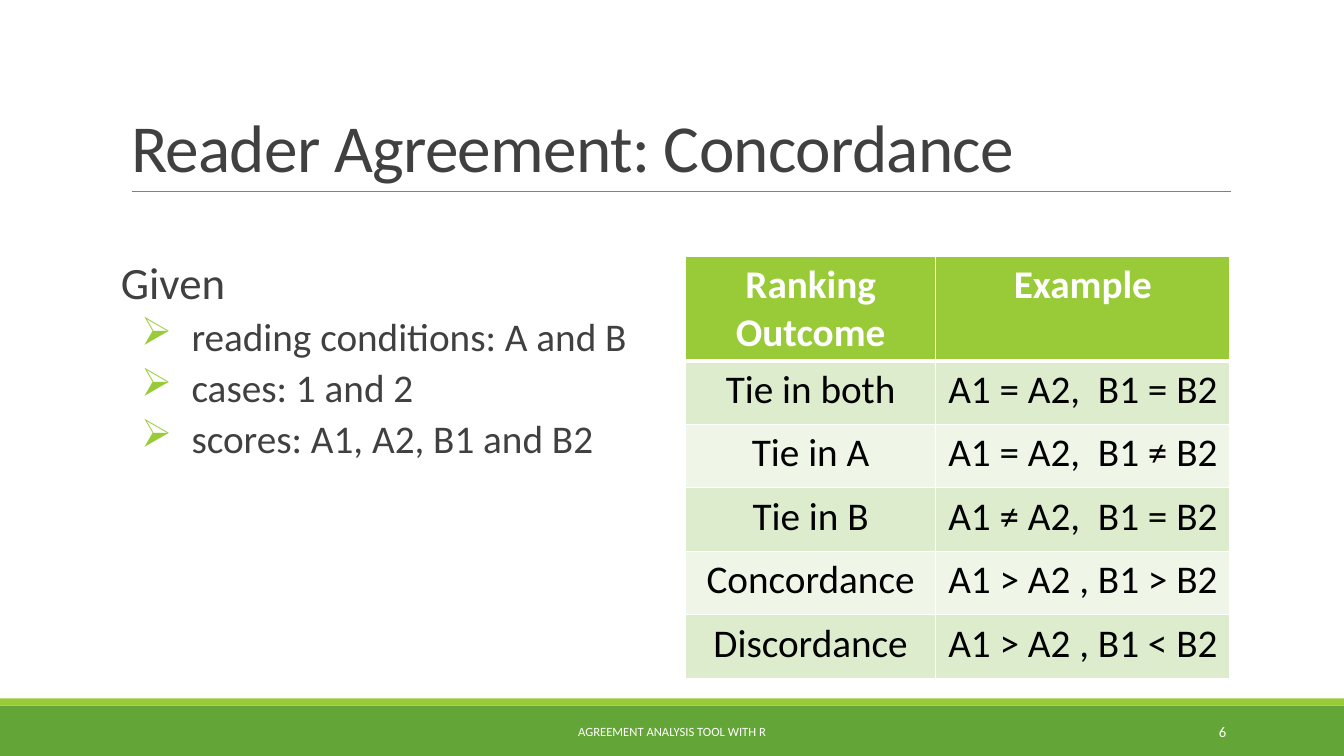
"""Build the reader agreement slide with its concordance table."""
from dataclasses import dataclass

from lxml import etree
from pptx import Presentation
from pptx.dml.color import RGBColor
from pptx.enum.shapes import MSO_CONNECTOR, MSO_SHAPE
from pptx.enum.text import MSO_ANCHOR, MSO_AUTO_SIZE, PP_ALIGN
from pptx.oxml.ns import qn
from pptx.util import Inches, Pt

RECT = MSO_SHAPE.RECTANGLE
STRAIGHT = MSO_CONNECTOR.STRAIGHT
LEFT, CENTER, RIGHT = PP_ALIGN.LEFT, PP_ALIGN.CENTER, PP_ALIGN.RIGHT
TOP, MIDDLE, BOTTOM = MSO_ANCHOR.TOP, MSO_ANCHOR.MIDDLE, MSO_ANCHOR.BOTTOM


@dataclass(frozen=True)
class Theme:
    font: str = "Calibri"
    text: str = "404040"
    black: str = "000000"
    white: str = "FFFFFF"
    rule: str = "808080"
    green: str = "63A537"
    lime: str = "99CB38"
    bands: tuple = ("DEECCE", "EFF6E8")
    title: float = 48
    lead: float = 32
    body: float = 28
    footer: float = 9
    number: float = 10.5


T = Theme()


def write(p, text, size, color=T.text, bold=False, align=LEFT, line=None, before=0, after=0):
    """Fill a paragraph with one formatted run and return the run."""
    p.alignment = align
    p.line_spacing = line
    p.space_before, p.space_after = Pt(before), Pt(after)
    r = p.add_run()
    r.text = text
    r.font.name, r.font.size, r.font.bold = T.font, Pt(size), bold
    r.font.color.rgb = RGBColor.from_string(color)
    return r


prs = Presentation()
prs.slide_width, prs.slide_height = Inches(13.33), Inches(7.5)
s = prs.slides.add_slide(prs.slide_layouts[5])

for top, height, color in [(7, 0.5, T.green), (6.93, 0.07, T.lime)]:
    sp = s.shapes.add_shape(RECT, 0, Inches(top), prs.slide_width, Inches(height))
    sp.shadow.inherit = False
    sp.fill.solid()
    sp.fill.fore_color.rgb = RGBColor.from_string(color)
    sp.line.fill.background()

rule = s.shapes.add_connector(STRAIGHT, Inches(1.31), Inches(1.9), Inches(12.21), Inches(1.9))
rule.line.color.rgb = RGBColor.from_string(T.rule)
rule.line.width = Pt(0.5)
etree.SubElement(rule._element.spPr, qn("a:effectLst"))

title = s.shapes.title
title.left, title.top = Inches(1.2), Inches(0.31)
title.width, title.height = Inches(11), Inches(1.59)
tf = title.text_frame
tf.auto_size, tf.vertical_anchor = MSO_AUTO_SIZE.NONE, BOTTOM
r = write(tf.paragraphs[0], "Reader Agreement: Concordance", T.title, line=0.85)
r.font._element.set("spc", "-50")

tf = s.shapes.add_textbox(Inches(1.2), Inches(2.54), Inches(5.4), Inches(3.64)).text_frame
tf.word_wrap = True
tf.margin_left = tf.margin_right = 0
spacing = dict(line=0.9, before=2, after=4)
write(tf.paragraphs[0], "Given", T.lead, **spacing)
for text in ["reading conditions: A and B", "cases: 1 and 2", "scores: A1, A2, B1 and B2"]:
    p = tf.add_paragraph()
    p.level = 1
    write(p, text, T.body, **spacing)
    pPr = p._p.get_or_add_pPr()
    pPr.set("marL", str(Inches(0.7)))
    pPr.set("indent", str(Inches(-0.5)))
    bullet_color = etree.SubElement(pPr, qn("a:buClr"))
    etree.SubElement(bullet_color, qn("a:srgbClr"), val=T.lime)
    etree.SubElement(pPr, qn("a:buChar"), char="➢")

for text, left, width, size, align in [
    ("AGREEMENT ANALYSIS TOOL WITH R", 4.03, 5.27, T.footer, CENTER),
    ("6", 10.83, 1.43, T.number, RIGHT),
]:
    tf = s.shapes.add_textbox(Inches(left), Inches(7.06), Inches(width), Inches(0.4)).text_frame
    tf.word_wrap, tf.vertical_anchor = True, MIDDLE
    write(tf.paragraphs[0], text, size, T.white, align=align)

rows = [
    ("Ranking Outcome", "Example"),
    ("Tie in both", "A1 = A2,  B1 = B2"),
    ("Tie in A", "A1 = A2,  B1 ≠ B2"),
    ("Tie in B", "A1 ≠ A2,  B1 = B2"),
    ("Concordance", "A1 > A2 , B1 > B2"),
    ("Discordance", "A1 > A2 , B1 < B2"),
]
table = s.shapes.add_table(
    len(rows), 2, Inches(6.8), Inches(2.54), Inches(5.4), Inches(4.19)
).table
for column, width in zip(table.columns, (2.48, 2.92)):
    column.width = Inches(width)

for i, row in enumerate(rows):
    header = i == 0
    table.rows[i].height = Inches(1.04 if header else 0.63)
    for j, text in enumerate(row):
        cell = table.cell(i, j)
        cell.margin_left = cell.margin_right = Inches(0.09)
        cell.margin_top = cell.margin_bottom = Inches(0.05)
        cell.vertical_anchor = TOP
        for side in ("L", "R", "T", "B"):
            thick = (header and side == "B") or (i == 1 and side == "T")
            ln = etree.SubElement(
                cell._tc.get_or_add_tcPr(), qn(f"a:ln{side}"), w=str(Pt(3 if thick else 1))
            )
            fill = etree.SubElement(ln, qn("a:solidFill"))
            etree.SubElement(fill, qn("a:srgbClr"), val=T.white)
        cell.fill.solid()
        cell.fill.fore_color.rgb = RGBColor.from_string(T.lime if header else T.bands[(i - 1) % 2])
        write(cell.text_frame.paragraphs[0], text, T.body,
              T.white if header else T.black, bold=header, align=CENTER)

prs.save("out.pptx")
